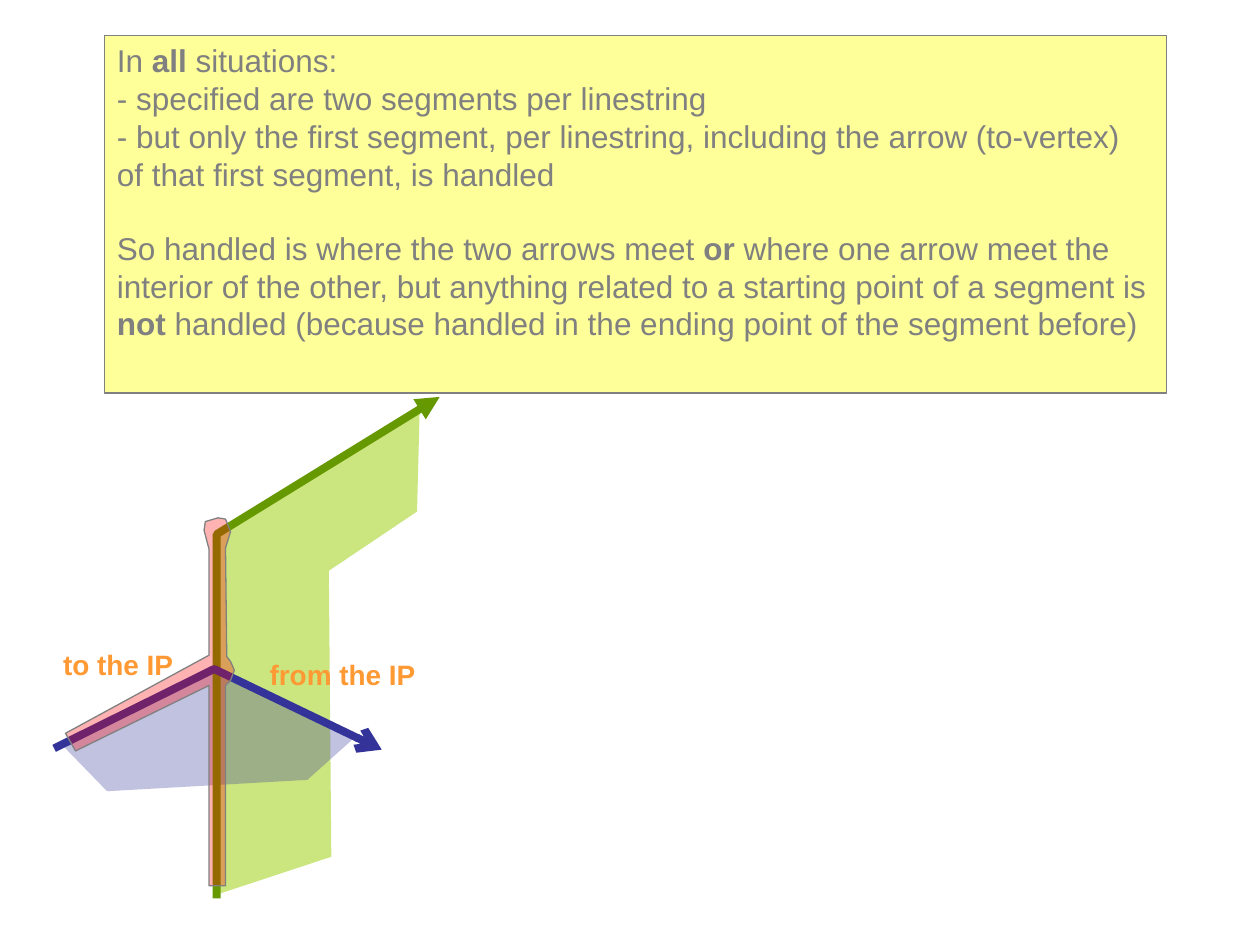
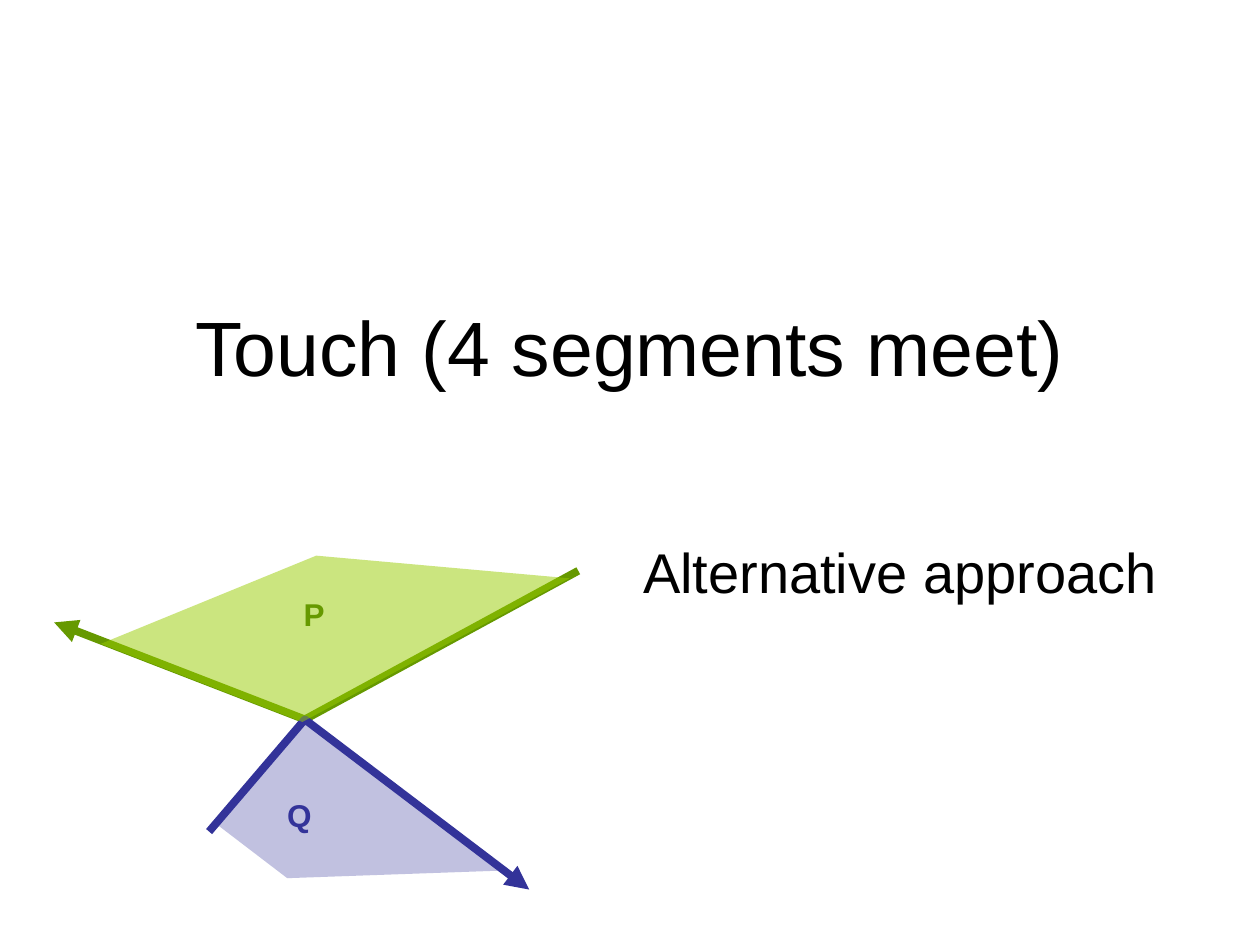
from dataclasses import dataclass

from lxml import etree
from pptx import Presentation
from pptx.dml.color import RGBColor
from pptx.enum.shapes import MSO_SHAPE
from pptx.enum.text import MSO_ANCHOR, PP_ALIGN
from pptx.oxml.ns import qn
from pptx.util import Inches, Pt

RECTANGLE = MSO_SHAPE.RECTANGLE
TOP = MSO_ANCHOR.TOP
LEFT, CENTER = PP_ALIGN.LEFT, PP_ALIGN.CENTER


@dataclass(frozen=True)
class Theme:
    font: str = "Arial"
    black: str = "000000"
    grey: str = "808080"
    note_fill: str = "FFFF99"
    green: str = "669900"
    green_area: str = "99CC00"
    blue: str = "333399"
    red: str = "FF0000"
    orange: str = "FF9933"
    title_size: int = 44
    subtitle_size: int = 32
    body_size: int = 18
    caption_size: int = 16
    thin: float = 0.75
    thick: float = 4.5
    green_alpha: int = 50
    tint_alpha: int = 30


THEME = Theme()

NOTE_PARAGRAPHS = [
    "In **all** situations:",
    "- specified are two segments per linestring",
    "- but only the first segment, per linestring, including the arrow "
    "(to-vertex) of that first segment, is handled",
    "So handled is where the two arrows meet **or** where one arrow meet the "
    "interior of the other, but anything related to a starting point of a "
    "segment is **not** handled (because handled in the ending point of the "
    "segment before)",
]

HANDLED_OUTLINE = [
    (1.66, 5.2), (1.66, 4.36), (1.62, 4.21), (1.63, 4.14), (1.73, 4.11),
    (1.79, 4.12), (1.83, 4.22), (1.79, 4.35), (1.8, 5.21), (1.83, 5.25),
    (1.86, 5.32), (1.83, 5.4), (1.79, 5.44), (1.79, 7.03), (1.66, 7.03),
    (1.66, 5.44), (0.6, 5.96), (0.52, 5.82),
]


def set_line(shape, color, width):
    shape.line.color.rgb = RGBColor.from_string(color)
    shape.line.width = Pt(width)


def set_fill(shape, color):
    shape.fill.solid()
    shape.fill.fore_color.rgb = RGBColor.from_string(color)


def add_path(slide, points, close):
    start, *others = [(Inches(x), Inches(y)) for x, y in points]
    builder = slide.shapes.build_freeform(*start)
    builder.add_line_segments(others, close=close)
    shape = builder.convert_to_shape()
    shape.shadow.inherit = False
    return shape


def add_area(slide, points, color, alpha, outline=None):
    """Draw a closed, see-through polygon; alpha is its opacity in percent."""
    shape = add_path(slide, points, True)
    set_fill(shape, color)
    color_element = shape.element.spPr.find(qn("a:solidFill"))[0]
    etree.SubElement(color_element, qn("a:alpha"), val=str(alpha * 1000))
    if outline:
        set_line(shape, outline, THEME.thin)
    else:
        shape.line.fill.background()


def add_linestring(slide, points, color, arrow="triangle"):
    shape = add_path(slide, points, False)
    shape.fill.background()
    set_line(shape, color, THEME.thick)
    line_element = shape.element.spPr.find(qn("a:ln"))
    etree.SubElement(line_element, qn("a:tailEnd"), type=arrow)


def write_paragraph(paragraph, text, size, color, bold=False, align=LEFT, space_before=0):
    """Write text in which **marks** switch the bold setting."""
    paragraph.alignment = align
    paragraph.space_before = Pt(space_before)
    for index, part in enumerate(text.split("**")):
        run = paragraph.add_run()
        run.text = part
        run.font.color.rgb = RGBColor.from_string(color)
        font_format = {"name": THEME.font, "size": Pt(size), "bold": bold != (index % 2 == 1)}
        for name, value in font_format.items():
            setattr(run.font, name, value)


def set_frame(shape, wrap=True, inset=(0.1, 0.05)):
    horizontal, vertical = map(Inches, inset)
    frame_format = {
        "word_wrap": wrap, "vertical_anchor": TOP,
        "margin_left": horizontal, "margin_right": horizontal,
        "margin_top": vertical, "margin_bottom": vertical,
    }
    for name, value in frame_format.items():
        setattr(shape.text_frame, name, value)


def add_heading(slide, box, text, size, space_before=0):
    shape = slide.shapes.add_textbox(*map(Inches, box))
    set_frame(shape)
    write_paragraph(shape.text_frame.paragraphs[0], text, size, THEME.black,
                    align=CENTER, space_before=space_before)


def add_label(slide, box, text, size, color):
    shape = slide.shapes.add_textbox(*map(Inches, box))
    set_frame(shape, wrap=False, inset=(0, 0))
    write_paragraph(shape.text_frame.paragraphs[0], text, size, color, bold=True)


def add_note(slide, box, texts):
    """Add the yellow note, with a one-line gap before its last paragraph."""
    shape = slide.shapes.add_shape(RECTANGLE, *map(Inches, box))
    shape.shadow.inherit = False
    set_fill(shape, THEME.note_fill)
    set_line(shape, THEME.grey, THEME.thin)
    set_frame(shape)
    frame = shape.text_frame
    for index, text in enumerate(texts):
        paragraph = frame.add_paragraph() if index else frame.paragraphs[0]
        gap = 20.7 if index == len(texts) - 1 else 0
        write_paragraph(paragraph, text, THEME.body_size, THEME.grey, space_before=gap)


def build_situations_slide(slide):
    add_note(slide, (0.83, 0.28, 8.43, 2.84), NOTE_PARAGRAPHS)
    green_area = [(1.72, 7.1), (1.69, 4.24), (3.33, 3.28), (3.31, 4.06), (2.61, 4.53), (2.63, 6.8)]
    blue_area = [(1.7, 5.32), (2.82, 5.85), (2.44, 6.19), (0.85, 6.28), (0.51, 5.93)]
    add_area(slide, green_area, THEME.green_area, THEME.green_alpha)
    add_area(slide, blue_area, THEME.blue, THEME.tint_alpha)
    add_linestring(slide, [(1.72, 7.13), (1.72, 4.24), (3.49, 3.15)], THEME.green)
    add_linestring(slide, [(0.43, 5.94), (1.7, 5.31), (3.03, 5.95)], THEME.blue, "arrow")
    add_area(slide, HANDLED_OUTLINE, THEME.red, THEME.tint_alpha, THEME.grey)
    add_label(slide, (0.5, 5.14, 0.88, 0.27), "to the IP", THEME.caption_size, THEME.orange)
    add_label(slide, (2.14, 5.22, 1.16, 0.27), "from the IP", THEME.caption_size, THEME.orange)


def build_touch_slide(slide):
    add_heading(slide, (0.75, 2.33, 8.5, 1.61), "Touch (4 segments meet)", THEME.title_size)
    add_heading(slide, (4.29, 4.22, 5.71, 1.92), "Alternative approach",
                THEME.subtitle_size, space_before=8)
    meeting_point = (2.42, 5.71)
    add_linestring(slide, [(4.59, 4.53), meeting_point, (0.43, 4.94)], THEME.green)
    add_linestring(slide, [(1.66, 6.6), meeting_point, (4.2, 7.06)], THEME.blue)
    q_area = [(2.28, 6.97), (1.69, 6.52), (2.42, 5.73), (3.98, 6.91)]
    p_area = [(0.8, 5.11), (2.51, 4.41), (4.52, 4.59), (2.4, 5.73)]
    add_area(slide, q_area, THEME.blue, THEME.tint_alpha)
    add_area(slide, p_area, THEME.green_area, THEME.green_alpha)
    add_label(slide, (2.41, 4.72, 0.17, 0.3), "P", THEME.body_size, THEME.green)
    add_label(slide, (2.28, 6.32, 0.2, 0.3), "Q", THEME.body_size, THEME.blue)


def main():
    presentation = Presentation()
    presentation.slide_width = Inches(10)
    presentation.slide_height = Inches(7.5)
    blank_layout = presentation.slide_layouts[6]
    for build_slide in (build_situations_slide, build_touch_slide):
        build_slide(presentation.slides.add_slide(blank_layout))
    presentation.save("out.pptx")


if __name__ == "__main__":
    main()
